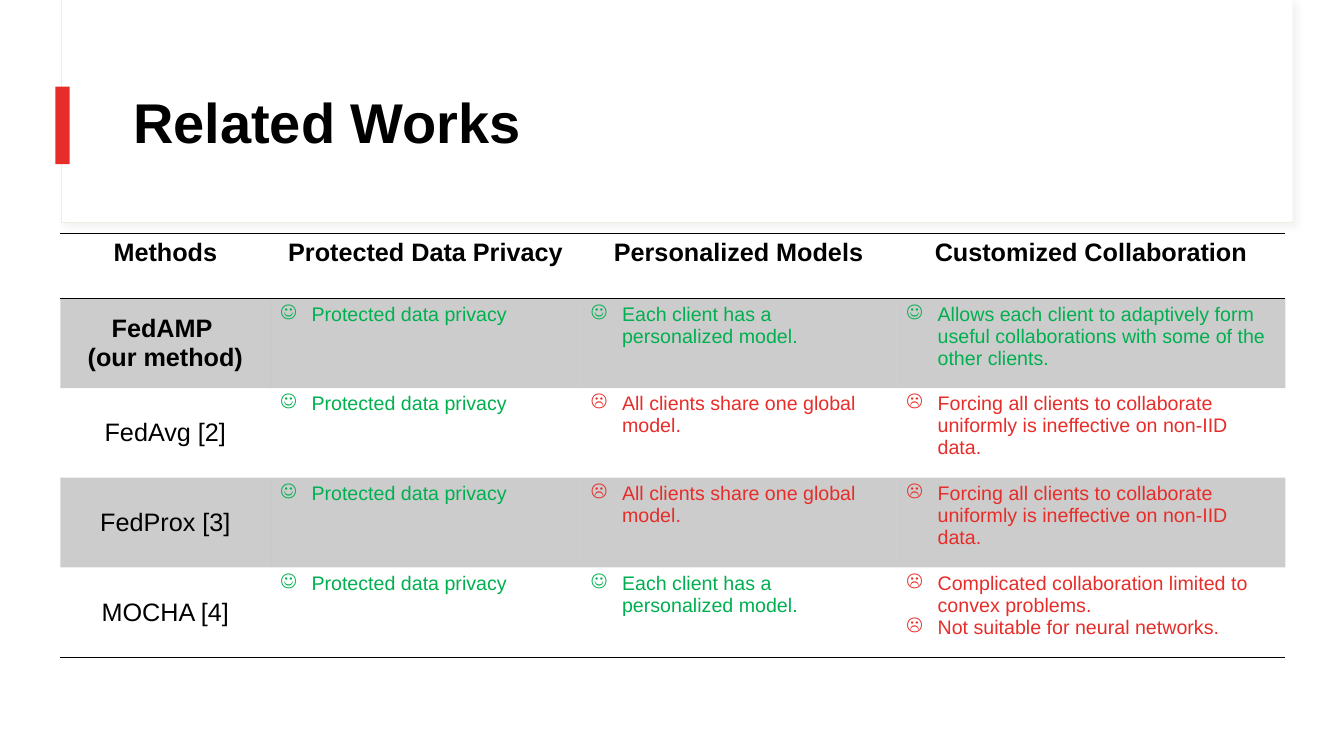
"""Build the Related Works slide comparing federated learning methods."""
import pptx
import pptx.util
import pptx.dml.color
import pptx.enum.shapes
import pptx.enum.text
import pptx.oxml
import pptx.oxml.ns

Inches, Pt = pptx.util.Inches, pptx.util.Pt
ALIGN, ANCHOR = pptx.enum.text.PP_ALIGN, pptx.enum.text.MSO_ANCHOR

TITLE = "Related Works"
HEADINGS = ["Methods", "Protected Data Privacy", "Personalized Models", "Customized Collaboration"]
PRIVATE = ("☺", "Protected data privacy")
PERSONAL = ("☺", "Each client has a personalized model.")
SHARED = ("☹", "All clients share one global model.")
UNIFORM = ("☹", "Forcing all clients to collaborate uniformly is ineffective on non-IID data.")
ADAPTIVE = ("☺", "Allows each client to adaptively form useful collaborations "
                 "with some of the other clients.")
CONVEX = ("☹", "Complicated collaboration limited to convex problems.\n"
               "Not suitable for neural networks.")
METHODS = [
    ("FedAMP \n(our method)", PRIVATE, PERSONAL, ADAPTIVE),
    ("FedAvg [2]", PRIVATE, SHARED, UNIFORM),
    ("FedProx [3]", PRIVATE, SHARED, UNIFORM),
    ("MOCHA [4]", PRIVATE, PERSONAL, CONVEX),
]
BLACK, WHITE, RED, GREEN = "000000", "FFFFFF", "E72D29", "00B050"
MOOD_COLORS = {"☺": GREEN, "☹": RED}
COLUMN_WIDTHS = [2.08, 3.08, 3.13, 3.86]
HEADER_HEIGHT, METHOD_HEIGHT = 0.64, 0.89
PLAIN_TABLE_STYLE = "{2D5ABB26-0587-4C30-8999-92F81FD0307C}"
NAMESPACE = pptx.oxml.ns.nsdecls("a")


def rgb(value):
    return pptx.dml.color.RGBColor.from_string(value)


def add_panel(slide, box, fill, line=None):
    panel = slide.shapes.add_shape(
        pptx.enum.shapes.MSO_SHAPE.RECTANGLE, *map(Inches, box))
    panel.shadow.inherit = False
    panel.fill.solid()
    panel.fill.fore_color.rgb = rgb(fill)
    if line:
        panel.line.color.rgb = rgb(line)
        panel.line.width = Pt(0.75)
    else:
        panel.line.fill.background()
    return panel


def add_soft_shadow(panel):
    effects = panel.element.spPr.find(pptx.oxml.ns.qn("a:effectLst"))
    effects.append(pptx.oxml.parse_xml(
        f'<a:outerShdw {NAMESPACE} blurRad="{Pt(4)}" dist="{Pt(3)}" dir="2700000">'
        '<a:srgbClr val="D9D9D9"><a:alpha val="30000"/></a:srgbClr></a:outerShdw>'))


def style_text(frame, size, color, bold, align):
    for paragraph in frame.paragraphs:
        paragraph.alignment = align
        for run in paragraph.runs:
            run.font.name = "Arial"
            run.font.size = Pt(size)
            run.font.bold = bold
            run.font.color.rgb = rgb(color)


def add_bullets(frame, symbol):
    for paragraph in frame.paragraphs:
        properties = paragraph._p.get_or_add_pPr()
        properties.set("marL", str(Inches(0.31)))
        properties.set("indent", str(Inches(-0.31)))
        properties.append(pptx.oxml.parse_xml(f'<a:buChar {NAMESPACE} char="{symbol}"/>'))


def shade(cell, shaded):
    if not shaded:
        cell.fill.background()
        return
    cell.fill.solid()
    cell.fill.fore_color.rgb = rgb(BLACK)
    color = next(cell._tc.tcPr.iter(pptx.oxml.ns.qn("a:srgbClr")))
    color.append(pptx.oxml.parse_xml(f'<a:alpha {NAMESPACE} val="20000"/>'))


def add_rules(cell, sides):
    for position, side in enumerate(sides):
        cell._tc.get_or_add_tcPr().insert(position, pptx.oxml.parse_xml(
            f'<a:ln{side} {NAMESPACE} w="{Pt(1)}"><a:solidFill>'
            f'<a:srgbClr val="{BLACK}"/></a:solidFill></a:ln{side}>'))


def add_comparison(slide):
    row_heights = [HEADER_HEIGHT] + [METHOD_HEIGHT] * len(METHODS)
    holder = slide.shapes.add_table(
        len(row_heights), len(HEADINGS), Inches(0.6), Inches(2.32),
        Inches(sum(COLUMN_WIDTHS)), Inches(sum(row_heights)))
    table = holder.table
    table.first_row = table.horz_banding = False
    table._tbl.tblPr.find(pptx.oxml.ns.qn("a:tableStyleId")).text = PLAIN_TABLE_STYLE
    for column, width in zip(table.columns, COLUMN_WIDTHS):
        column.width = Inches(width)
    for row, height in zip(table.rows, row_heights):
        row.height = Inches(height)

    for r, entries in enumerate([HEADINGS, *METHODS]):
        sides = {0: "TB", len(METHODS): "B"}.get(r, "")
        for c, entry in enumerate(entries):
            cell = table.cell(r, c)
            if isinstance(entry, tuple):
                mood, cell.text_frame.text = entry
                style_text(cell.text_frame, 14, MOOD_COLORS[mood], False, ALIGN.LEFT)
                add_bullets(cell.text_frame, mood)
            else:
                cell.text_frame.text = entry
                style_text(cell.text_frame, 18, BLACK, r < 2, ALIGN.CENTER)
                cell.vertical_anchor = ANCHOR.MIDDLE if r else ANCHOR.TOP
            shade(cell, r % 2 == 1)
            add_rules(cell, sides)


def main():
    deck = pptx.Presentation()
    deck.slide_width, deck.slide_height = Inches(13.33), Inches(7.5)
    slide = deck.slides.add_slide(deck.slide_layouts[5])

    add_soft_shadow(add_panel(slide, (0.61, 0, 12.21, 2.21), WHITE, "EFECE3"))
    add_panel(slide, (0.62, 0, 12.2, 2.2), WHITE)
    add_panel(slide, (0.55, 0.86, 0.14, 0.77), RED)

    title = slide.shapes.title
    title.left, title.top, title.width, title.height = map(Inches, (1.22, 0.6, 11.12, 1.29))
    title.text_frame.text = TITLE
    title.text_frame.auto_size = pptx.enum.text.MSO_AUTO_SIZE.NONE
    title.text_frame.vertical_anchor = ANCHOR.MIDDLE
    title.text_frame.paragraphs[0].line_spacing = 0.9
    style_text(title.text_frame, 40, BLACK, True, ALIGN.LEFT)
    slide.shapes.element.append(title.element)

    add_comparison(slide)
    deck.save("out.pptx")


if __name__ == "__main__":
    main()
